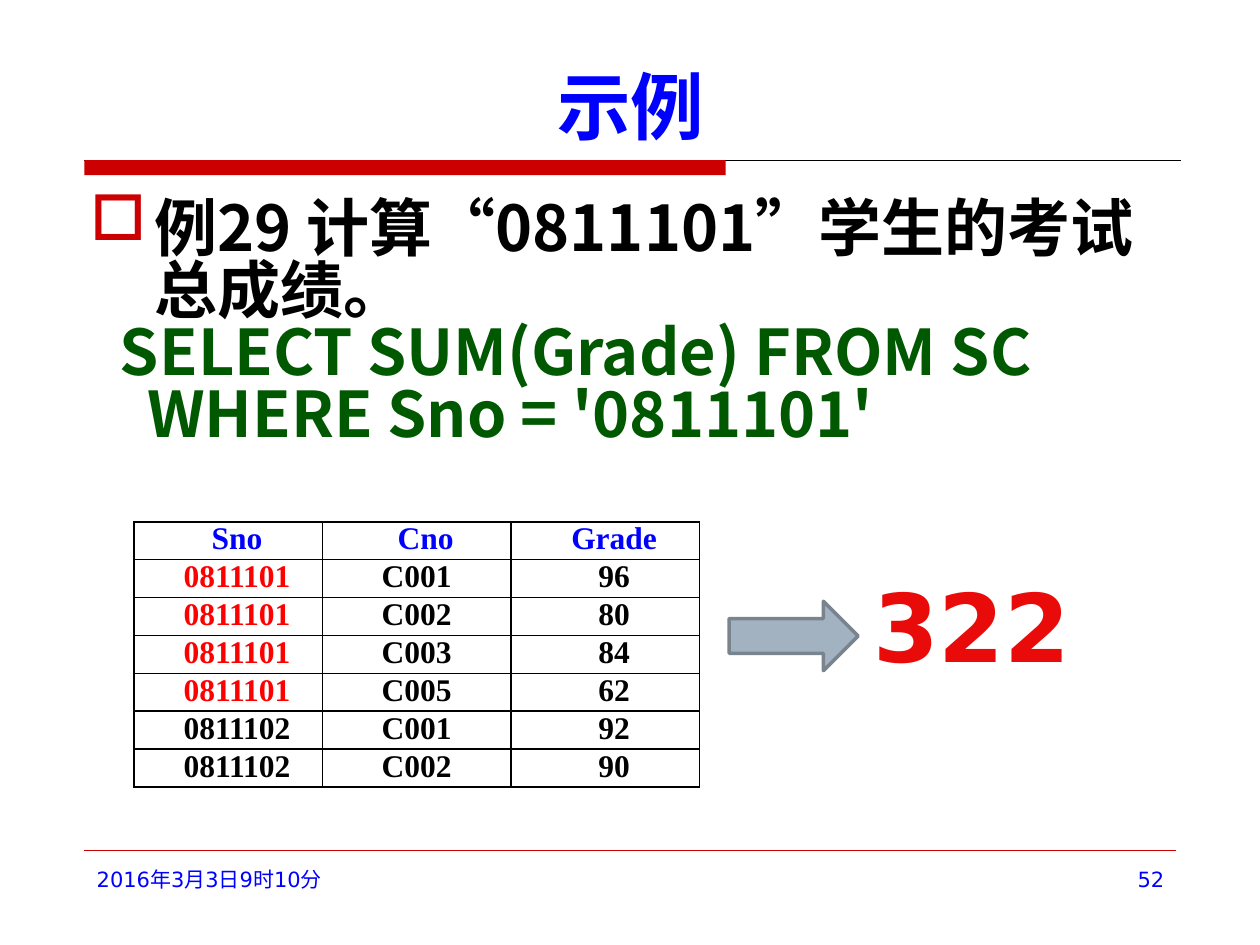
from lxml import etree
from pptx import Presentation
from pptx.dml.color import RGBColor as RGB
from pptx.enum.shapes import MSO_CONNECTOR as Conn, MSO_SHAPE as Kind
from pptx.enum.text import MSO_ANCHOR as Anchor, PP_ALIGN as Align
from pptx.oxml.ns import qn
from pptx.util import Cm, Pt

SANS, CJK, SERIF = "DejaVu Sans", "Noto Sans CJK SC", "Times New Roman"
HUE = {"blue": "0000FF", "red": "CC0000", "hot": "FF0000", "sum": "E90A0A",
       "green": "005800", "black": "000000", "steel": "A3B2C1", "edge": "79848F"}

TITLE = "示例"
# text, colour, left margin and first-line indent in cm, bullet
BODY = [
    ("例29 计算“0811101”学生的考试总成绩。", "black", 1.3, -1.3, "□"),
    ("SELECT SUM(Grade) FROM SC", "green", 0.6, 0, None),
    ("WHERE Sno = '0811101'", "green", 1.15, 0, None),
]
HEAD = ("Sno", "Cno", "Grade")
ROWS = [
    ("0811101", "C001", "96"),
    ("0811101", "C002", "80"),
    ("0811101", "C003", "84"),
    ("0811101", "C005", "62"),
    ("0811102", "C001", "92"),
    ("0811102", "C002", "90"),
]
PICK = "0811101"
# text, box in cm, size, colour, bold, alignment
NOTES = [
    ("2016年3月3日9时10分", (1.7, 17.35, 5.6, 1.32), 12, "blue", False, Align.LEFT),
    ("52", (18.21, 17.35, 5.51, 1.32), 12, "blue", False, Align.RIGHT),
    ("322", (17.09, 11.33, 5, 2.57), 54, "sum", True, Align.CENTER),
]


def tint(name):
    return RGB.from_string(HUE[name])


def child(node, tag, **attrs):
    return etree.SubElement(node, qn(tag), attrs)


def write(para, text, size, face, hue, bold=True):
    run = para.add_run()
    run.text = text
    font = run.font
    font.size, font.name, font.bold = Pt(size), face, bold
    font.color.rgb = tint(hue)
    child(run._r.get_or_add_rPr(), "a:ea", typeface=CJK if face == SANS else face)


def indent(para, left, first):
    props = para._p.get_or_add_pPr()
    props.set("marL", str(Cm(left)))
    props.set("indent", str(Cm(first)))
    return props


def place(shape, box):
    shape.left, shape.top, shape.width, shape.height = map(Cm, box)


def add_box(slide, box):
    frame = slide.shapes.add_textbox(*map(Cm, box)).text_frame
    frame.word_wrap = True
    return frame


def add_line(slide, start, end, hue, width):
    line = slide.shapes.add_connector(Conn.STRAIGHT, *map(Cm, start + end))
    line.line.color.rgb = tint(hue)
    line.line.width = Pt(width)
    child(line._element.spPr, "a:effectLst")


def add_form(slide, kind, box, hue):
    shape = slide.shapes.add_shape(kind, *map(Cm, box))
    shape.shadow.inherit = False
    shape.fill.solid()
    shape.fill.fore_color.rgb = tint(hue)
    return shape


def add_rules(slide):
    add_line(slide, (1.7, 3.23), (23.8, 3.23), "black", 0.75)
    bar = add_form(slide, Kind.RECTANGLE, (1.7, 3.23, 12.93, 0.3), "red")
    bar.line.fill.background()
    add_line(slide, (1.7, 17.15), (23.7, 17.15), "red", 0.25)


def add_title(slide):
    title = slide.shapes.title
    place(title, (1.6, 0.84, 22.23, 2.29))
    title.text_frame.vertical_anchor = Anchor.BOTTOM
    para = title.text_frame.paragraphs[0]
    para.alignment = Align.CENTER
    write(para, TITLE, 42, CJK, "blue")


def add_body(slide):
    frame = add_box(slide, (1.57, 3.94, 22.28, 13))
    for num, (text, hue, left, first, mark) in enumerate(BODY):
        para = frame.add_paragraph() if num else frame.paragraphs[0]
        para.line_spacing = 0.82
        props = indent(para, left, first)
        if mark:
            child(child(props, "a:buClr"), "a:srgbClr", val=HUE["red"])
            child(props, "a:buChar", char=mark)
        write(para, text, 36, CJK, hue)


def frame_cell(cell):
    cell.fill.background()
    props = cell._tc.get_or_add_tcPr()
    for num, side in enumerate(("a:lnL", "a:lnR", "a:lnT", "a:lnB")):
        edge = etree.Element(qn(side), w=str(Pt(1)))
        child(child(edge, "a:solidFill"), "a:srgbClr", val=HUE["black"])
        props.insert(num, edge)


def add_grid(slide):
    data = [HEAD] + ROWS
    table = slide.shapes.add_table(
        len(data), len(HEAD), Cm(2.7), Cm(10.52), Cm(11.4), Cm(5.33)).table
    for row, line in enumerate(data):
        table.rows[row].height = Cm(0.76)
        for col, text in enumerate(line):
            cell = table.cell(row, col)
            frame_cell(cell)
            cell.margin_left = cell.margin_right = Cm(0.18)
            cell.margin_top = cell.margin_bottom = 0
            para = cell.text_frame.paragraphs[0]
            para.alignment = Align.CENTER
            indent(para, 0, 0 if row and col == 1 else 0.36)
            hue = "blue" if row == 0 else "hot" if text == PICK else "black"
            write(para, text, 18, SERIF, hue)


def add_arrow(slide):
    arrow = add_form(slide, Kind.RIGHT_ARROW, (14.7, 12.12, 2.6, 1.4), "steel")
    arrow.line.color.rgb = tint("edge")
    arrow.line.width = Pt(2)


def add_notes(slide):
    for text, box, size, hue, bold, align in NOTES:
        para = add_box(slide, box).paragraphs[0]
        para.alignment = align
        write(para, text, size, SANS, hue, bold)


def main():
    deck = Presentation()
    deck.slide_width, deck.slide_height = Cm(25.4), Cm(19.05)
    slide = deck.slides.add_slide(deck.slide_layouts[5])
    for step in (add_rules, add_title, add_body, add_grid, add_arrow, add_notes):
        step(slide)
    deck.save("out.pptx")


if __name__ == "__main__":
    main()
